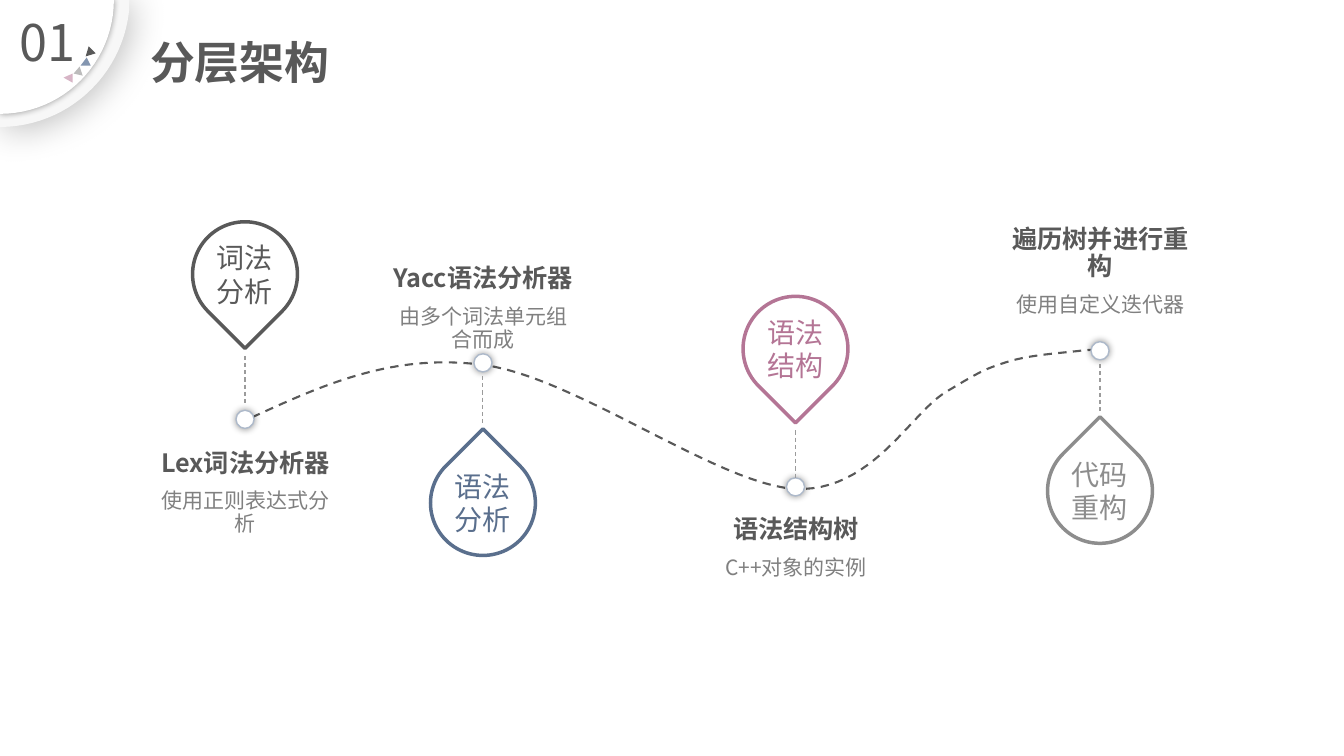
from lxml import etree
from pptx import Presentation
from pptx import util as u
from pptx.dml.color import RGBColor
from pptx.enum import dml, shapes, text
from pptx.oxml.ns import qn

PX = 9144
FONT = "Noto Sans CJK SC"
COLORS = {
    "ink": "595959", "body": "808080", "stem": "9B9B9B", "rim": "ADB9CA",
    "white": "FFFFFF", "ring": "F7F7F7", "shadow": "000000",
    "rose": "B47595", "blue": "5A6F8D", "gray": "8D8D8D",
    "pale_blue": "8496B0", "pale_gray": "BCBCBC", "pale_rose": "D7B5C6",
}
STATIONS = [
    ("语法结构", "语法结构树", "C++对象的实例", "rose", 789, 294, 483, 502),
    ("语法分析", "Yacc语法分析器", "由多个词法单元组合而成", "blue", 479, 447, 360, 253),
    ("代码重构", "遍历树并进行重构", "使用自定义迭代器", "gray", 1091, 435, 348, 241),
    ("词法分析", "Lex词法分析器", "使用正则表达式分析", "ink", 243, 220, 416, 436),
]
WAVE = [
    [(320, 382), (390, 350), (479, 362)],
    [(569, 373), (711, 480), (788, 485)],
    [(864, 489), (903, 410), (938, 389)],
    [(973, 368), (977, 366), (999, 359)],
    [(1021, 352), (1055, 350), (1071, 348)],
    [(1087, 346), (1090, 348), (1094, 349)],
]
CHIPS = [
    ("ink", [(88, 46), (95, 53), (85, 56)]),
    ("pale_blue", [(86, 57), (90, 65), (80, 65)]),
    ("pale_gray", [(79, 66), (82, 75), (73, 73)]),
    ("pale_rose", [(72, 73), (72, 82), (63, 77)]),
]


def px(*lengths):
    """Turn pixel lengths into EMU."""
    return [u.Emu(round(length * PX)) for length in lengths]


def rgb(name):
    """Look up a named colour."""
    return RGBColor.from_string(COLORS[name])


def paint(shape, fill=None, line=None, width=1):
    """Set fill and outline, and remove the shadow."""
    shape.shadow.inherit = False
    if fill:
        shape.fill.solid()
        shape.fill.fore_color.rgb = rgb(fill)
    else:
        shape.fill.background()
    if line:
        shape.line.color.rgb = rgb(line)
        shape.line.width = u.Pt(width)
    else:
        shape.line.fill.background()


def cast_shadow(shape, alpha, blur, distance=0, angle=0):
    """Add a soft outer shadow, with lengths in points."""
    effects = shape._element.spPr.find(qn("a:effectLst"))
    outer = etree.SubElement(
        effects, qn("a:outerShdw"), blurRad=str(u.Pt(blur)),
        dist=str(u.Pt(distance)), dir=str(angle * 60000),
        algn="ctr", rotWithShape="0")
    tint = etree.SubElement(outer, qn("a:srgbClr"), val=COLORS["shadow"])
    etree.SubElement(tint, qn("a:alpha"), val=str(alpha * 1000))


def bezier(start, curves, steps=24):
    """List points along a chain of cubic curves."""
    points = [start]
    for first, second, end in curves:
        for step in range(1, steps + 1):
            t = step / steps
            weights = ((1 - t) ** 3, 3 * t * (1 - t) ** 2, 3 * t * t * (1 - t), t ** 3)
            corners = (start, first, second, end)
            points.append(tuple(
                sum(w * corner[axis] for w, corner in zip(weights, corners))
                for axis in (0, 1)))
        start = end
    return points


def add_outline(parent, points, close=True):
    """Draw a freeform through pixel points."""
    start, *rest = [px(*point) for point in points]
    builder = parent.build_freeform(*start, scale=1.0)
    builder.add_line_segments(rest, close=close)
    return builder.convert_to_shape()


def add_words(parent, words, box, size, color, bold=False,
              anchor=text.MSO_ANCHOR.TOP, align=text.PP_ALIGN.CENTER, spacing=None):
    """Add a wrapped text box holding one paragraph."""
    frame = parent.add_textbox(*px(*box)).text_frame
    frame.word_wrap = True
    frame.vertical_anchor = anchor
    frame.text = words
    paragraph = frame.paragraphs[0]
    paragraph.alignment = align
    paragraph.line_spacing = spacing
    run = paragraph.runs[0]
    run.font.size = u.Pt(size)
    run.font.bold = bold
    run.font.color.rgb = rgb(color)
    run.font.name = FONT
    etree.SubElement(run._r.get_or_add_rPr(), qn("a:ea"), typeface=FONT)


def add_stem(parent, x, top):
    """Add the thin dashed line between a pin and its dot."""
    stem = parent.add_connector(
        shapes.MSO_CONNECTOR.STRAIGHT, *px(x, top, x, top + 47))
    stem.line.color.rgb = rgb("stem")
    stem.line.width = u.Pt(0.75)
    stem.line.dash_style = dml.MSO_LINE.DASH
    etree.SubElement(stem._element.spPr, qn("a:effectLst"))


def add_station(parent, label, heading, detail, color, x, pin_top, dot_y, heading_top):
    """Add one stage: pin, label, texts, dot and stem."""
    station = parent.add_group_shape().shapes
    points_down = pin_top < dot_y
    pin = station.add_shape(
        shapes.MSO_SHAPE.TEAR, *px(x - 52, pin_top, 104, 104))
    pin.rotation = 135 if points_down else 315
    paint(pin, line=color, width=2.5)
    add_words(station, label, (x - 39, pin_top + 7, 78, 90), 20, color,
              anchor=text.MSO_ANCHOR.MIDDLE)
    add_words(station, detail, (x - 102, heading_top + 46, 205, 42), 15, "body",
              spacing=0.9)
    add_words(station, heading, (x - 102, heading_top, 205, 43), 18, "ink", bold=True,
              anchor=text.MSO_ANCHOR.BOTTOM, spacing=0.9)
    dot = station.add_shape(shapes.MSO_SHAPE.OVAL, *px(x - 9, dot_y - 9, 18, 18))
    paint(dot, "white", "rim")
    cast_shadow(dot, 40, 5)
    add_stem(station, x, pin_top + 133 if points_down else pin_top - 74)


def add_corner(parent):
    """Add the layered quarter disc and its coloured chips."""
    ring = add_outline(parent, [(0, 0), (128, 0)] + bezier(
        (128, 11), [[(121, 76), (66, 126), (0, 126)]]))
    paint(ring, "ring")
    cast_shadow(ring, 25, 26, 3, 45)
    disc = add_outline(parent, [(0, 0)] + bezier(
        (113, 0), [[(113, 62), (63, 113), (0, 113)]]))
    paint(disc, "white")
    cast_shadow(disc, 40, 5)
    for color, points in CHIPS:
        paint(add_outline(parent, points), color)


def add_wave(parent):
    """Add the dashed path that links the stages."""
    wave = add_outline(parent, bezier((250, 414), WAVE), close=False)
    paint(wave, line="ink", width=1.5)
    wave.line.dash_style = dml.MSO_LINE.DASH


def main():
    """Build and save the slide."""
    deck = Presentation()
    deck.slide_width, deck.slide_height = px(1333, 750)
    canvas = deck.slides.add_slide(deck.slide_layouts[6]).shapes
    add_corner(canvas)
    add_wave(canvas)
    for station in STATIONS:
        add_station(canvas, *station)
    add_words(canvas, "01", (4, 6, 87, 71), 36, "ink")
    add_words(canvas, "分层架构", (139, 41, 618, 52), 32, "ink", bold=True,
              anchor=text.MSO_ANCHOR.BOTTOM, align=text.PP_ALIGN.LEFT, spacing=0.9)
    deck.save("out.pptx")


if __name__ == "__main__":
    main()
